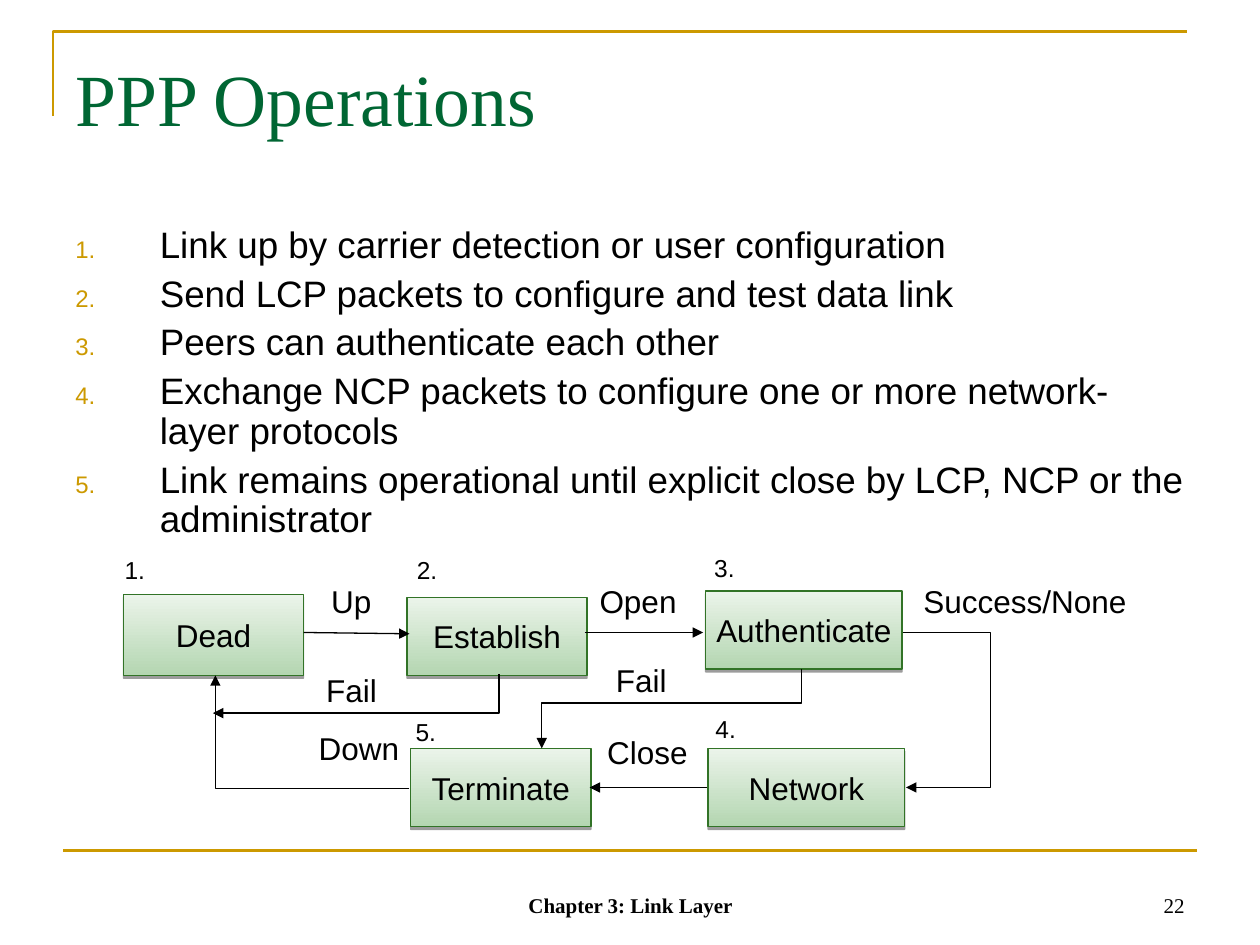
"""Build the PPP Operations slide with its numbered steps and link state diagram."""
from lxml import etree
from pptx import Presentation
from pptx.dml.color import RGBColor
from pptx.enum import shapes, text
from pptx.oxml import ns
from pptx.util import Inches, Pt

COLORS = {"gold": "CC9900", "title": "006633", "ink": "000000",
          "border": "327327", "state_bottom": "B4D6B1", "state_top": "EBF4EA"}
SANS, SERIF = "Arial", "Times New Roman"

STEPS = [
    "Link up by carrier detection or user configuration",
    "Send LCP packets to configure and test data link",
    "Peers can authenticate each other",
    "Exchange NCP packets to configure one or more network-layer protocols",
    "Link remains operational until explicit close by LCP, NCP or the administrator",
]
STATES = [
    ("Dead", 0.98, 4.72, 1.43, 0.64),
    ("Establish", 3.23, 4.74, 1.43, 0.62),
    ("Authenticate", 5.6, 4.69, 1.56, 0.62),
    ("Network", 5.62, 5.94, 1.56, 0.62),
    ("Terminate", 3.26, 5.94, 1.43, 0.62),
]
TRANSITIONS = [
    [(2.41, 5.02), (3.25, 5.03)],
    [(4.64, 5.02), (5.58, 5.02)],
    [(7.17, 5.02), (7.86, 5.02), (7.86, 6.25), (7.19, 6.25)],
    [(5.61, 6.25), (4.68, 6.25)],
    [(3.25, 6.26), (1.71, 6.26), (1.71, 5.36)],
    [(3.96, 5.35), (3.96, 5.66), (1.69, 5.66)],
    [(6.36, 5.31), (6.36, 5.58), (4.3, 5.58), (4.3, 5.94)],
]
EVENTS = [
    ("Up", 2.53, 4.57, 0.52), ("Open", 4.66, 4.57, 0.95),
    ("Success/None", 7.23, 4.57, 1.85), ("Close", 4.72, 5.77, 0.95),
    ("Down", 2.43, 5.74, 0.95), ("Fail", 2.49, 5.28, 0.95),
    ("Fail", 4.79, 5.2, 0.95),
]
STATE_NUMBERS = [(0.89, 4.36), (3.21, 4.36), (5.57, 4.34), (5.58, 5.62), (3.2, 5.64)]


def color(name):
    return RGBColor.from_string(COLORS[name])


def add_element(parent, tag, **attributes):
    return etree.SubElement(parent, ns.qn(tag), attributes)


def style(paragraph, size, font=SANS, ink="ink", align=text.PP_ALIGN.LEFT, bold=False):
    paragraph.alignment = align
    paragraph.font.size = Pt(size)
    paragraph.font.name = font
    paragraph.font.bold = bold
    paragraph.font.color.rgb = color(ink)


def add_text(slide, words, box, size, anchor=text.MSO_ANCHOR.TOP, **look):
    frame = slide.shapes.add_textbox(*map(Inches, box)).text_frame
    frame.word_wrap = True
    frame.vertical_anchor = anchor
    frame.text = words
    style(frame.paragraphs[0], size, **look)
    return frame


def add_path(slide, points, ink="ink", width=0.75, arrow=True):
    if len(points) == 2:
        ends = [Inches(value) for point in points for value in point]
        shape = slide.shapes.add_connector(shapes.MSO_CONNECTOR.STRAIGHT, *ends)
    else:
        corners = [(Inches(x), Inches(y)) for x, y in points]
        builder = slide.shapes.build_freeform(*corners[0])
        builder.add_line_segments(corners[1:], close=False)
        shape = builder.convert_to_shape()
        shape.fill.background()
    shape.line.color.rgb = color(ink)
    shape.line.width = Pt(width)
    if arrow:
        add_element(shape.line._get_or_add_ln(), "a:tailEnd", type="triangle")
    add_element(shape._element.spPr, "a:effectLst")


def add_state(slide, name, *box):
    shape = slide.shapes.add_shape(shapes.MSO_SHAPE.FLOWCHART_PROCESS, *map(Inches, box))
    shape.fill.gradient()
    shape.fill.gradient_angle = 90
    for stop, position, tone in zip(shape.fill.gradient_stops, (0, 1),
                                    ("state_bottom", "state_top")):
        stop.position = position
        stop.color.rgb = color(tone)
    shape.line.color.rgb = color("border")
    shape.line.width = Pt(0.75)
    shape.shadow.inherit = False
    effects = shape._element.spPr.find(ns.qn("a:effectLst"))
    shadow = add_element(effects, "a:outerShdw", blurRad="0", dist="20000",
                         dir="5400000", rotWithShape="0")
    add_element(add_element(shadow, "a:srgbClr", val=COLORS["ink"]), "a:alpha", val="38000")
    frame = shape.text_frame
    frame.word_wrap = False
    frame.vertical_anchor = text.MSO_ANCHOR.MIDDLE
    frame.text = name
    style(frame.paragraphs[0], 18, align=text.PP_ALIGN.CENTER)


def add_steps(slide):
    frame = add_text(slide, "\n".join(STEPS), (0.5, 1.75, 9, 2.85), 21)
    for index, paragraph in enumerate(frame.paragraphs):
        properties = paragraph._p.get_or_add_pPr()
        for child in list(properties):
            properties.remove(child)
        properties.set("marL", str(Inches(0.67)))
        properties.set("indent", str(-Inches(0.67)))
        add_element(add_element(properties, "a:buClr"), "a:srgbClr", val=COLORS["gold"])
        add_element(properties, "a:buSzPct", val="65000")
        add_element(properties, "a:buFont", typeface=SANS)
        add_element(properties, "a:buAutoNum", type="arabicPeriod")
        paragraph.line_spacing = 0.9
        if index:
            paragraph.space_before = Pt(5.2)
        style(paragraph, 21)


def main():
    presentation = Presentation()
    presentation.slide_width, presentation.slide_height = Inches(10), Inches(7.5)
    slide = presentation.slides.add_slide(presentation.slide_layouts[6])

    add_path(slide, [(0.42, 0.92), (0.42, 0.25), (9.42, 0.25)], "gold", 1.5, False)
    add_path(slide, [(0.5, 6.75), (9.5, 6.75)], "gold", 1.5, False)
    title = add_text(slide, "PPP Operations", (0.5, 0.3, 9, 1.25), 42,
                     font=SERIF, ink="title")
    title.margin_top = Inches(0.12)
    add_steps(slide)

    for state in STATES:
        add_state(slide, *state)
    for points in TRANSITIONS:
        add_path(slide, points)
    for event, left, top, width in EVENTS:
        add_text(slide, event, (left, top, width, 0.4), 18)
    for number, (left, top) in enumerate(STATE_NUMBERS, 1):
        add_text(slide, f"{number}.", (left, top, 0.4, 0.34), 14)

    add_text(slide, "Chapter 3: Link Layer", (3.42, 6.83, 3.17, 0.5), 12,
             text.MSO_ANCHOR.BOTTOM, font=SERIF, align=text.PP_ALIGN.CENTER, bold=True)
    add_text(slide, "22", (7.17, 6.83, 2.33, 0.5), 12,
             text.MSO_ANCHOR.BOTTOM, font=SERIF, align=text.PP_ALIGN.RIGHT)
    presentation.save("out.pptx")


if __name__ == "__main__":
    main()
